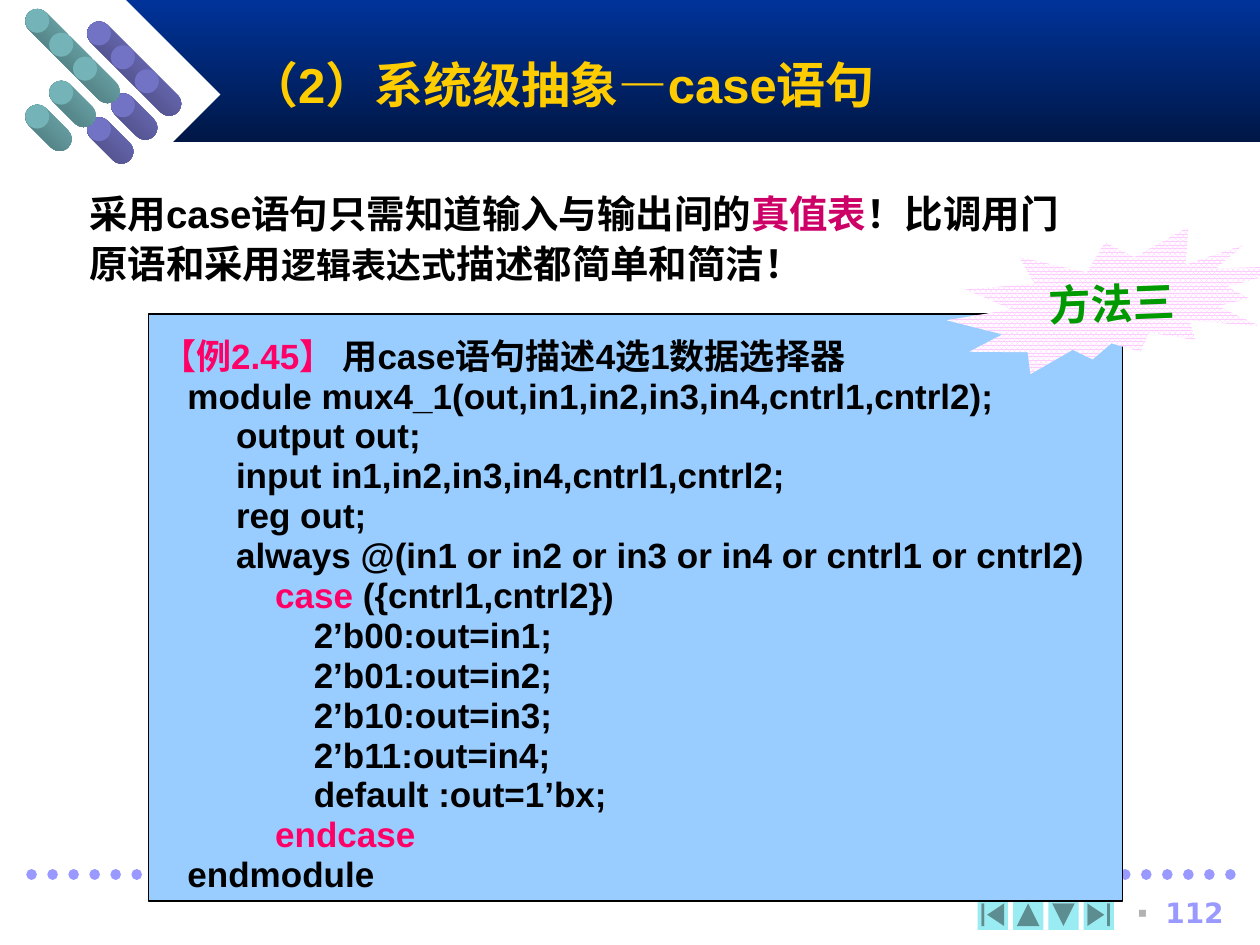
import pptx
import pptx.util
import pptx.dml.color
import pptx.enum.dml
import pptx.enum.shapes
import pptx.enum.text
import pptx.oxml

Inches = pptx.util.Inches
Pt = pptx.util.Pt
RGBColor = pptx.dml.color.RGBColor
SHAPE = pptx.enum.shapes.MSO_SHAPE
ALIGN = pptx.enum.text.PP_ALIGN
ANCHOR = pptx.enum.text.MSO_ANCHOR

WHITE = RGBColor(0xFF, 0xFF, 0xFF)
BLACK = RGBColor(0, 0, 0)
BLUE = RGBColor(0x00, 0x33, 0x99)
NAVY = RGBColor(0x00, 0x17, 0x46)
LILAC = RGBColor(0x99, 0x99, 0xFF)
AQUA = RGBColor(0x98, 0xEC, 0xF2)
PLUM = RGBColor(0x73, 0x73, 0xC6)
DUSK = RGBColor(0x46, 0x46, 0x78)
TEAL = RGBColor(0x74, 0xB4, 0xB8)
SLATE = RGBColor(0x46, 0x6E, 0x71)
GOLD = RGBColor(0xFF, 0xCC, 0x00)
ROSE = RGBColor(0xCC, 0x00, 0x66)
RED = RGBColor(0xFF, 0x00, 0x66)
SKY = RGBColor(0x99, 0xCC, 0xFF)
PINK = RGBColor(0xFF, 0xCC, 0xFF)
GREEN = RGBColor(0x00, 0x99, 0x00)
NS = 'xmlns:a="http://schemas.openxmlformats.org/drawingml/2006/main"'
CJK = "Noto Sans CJK SC"

CODE = [
    [("module mux4_1(out,in1,in2,in3,in4,cntrl1,cntrl2);", BLACK)],
    [("     output out;", BLACK)],
    [("     input in1,in2,in3,in4,cntrl1,cntrl2;", BLACK)],
    [("     reg out;", BLACK)],
    [("     always @(in1 or in2 or in3 or in4 or cntrl1 or cntrl2)", BLACK)],
    [("         ", BLACK), ("case", RED), (" ({cntrl1,cntrl2})", BLACK)],
    [("             2’b00:out=in1;", BLACK)],
    [("             2’b01:out=in2;", BLACK)],
    [("             2’b10:out=in3;", BLACK)],
    [("             2’b11:out=in4;", BLACK)],
    [("             default :out=1’bx;", BLACK)],
    [("         ", BLACK), ("endcase", RED)],
    [("endmodule", BLACK)],
]


def node(xml):
    return pptx.oxml.parse_xml(xml)


def shape(slide, kind, box, color=None):
    item = slide.shapes.add_shape(kind, *map(Inches, box))
    item.shadow.inherit = False
    item.line.fill.background()
    if color is not None:
        item.fill.solid()
        item.fill.fore_color.rgb = color
    return item


def shade(item, stops, angle):
    item.fill.gradient()
    item.fill.gradient_angle = angle
    for stop, color in zip(item.fill.gradient_stops, stops):
        stop.color.rgb = color


def write(para, text, size, color, font="Arial"):
    run = para.add_run()
    run.text = text
    run.font.size = Pt(size)
    run.font.bold = True
    run.font.name = font
    run.font.color.rgb = color
    run.font._element.find(pptx.oxml.ns.qn("a:latin")).addnext(
        node(f'<a:ea {NS} typeface="{CJK}"/>'))


def textbox(slide, box, anchor=ANCHOR.TOP):
    frame = slide.shapes.add_textbox(*map(Inches, box)).text_frame
    frame.word_wrap = True
    frame.vertical_anchor = anchor
    return frame.paragraphs[0]


def banner(slide, box):
    left, top, width, height = box
    band = shape(slide, SHAPE.RECTANGLE, box)
    shade(band, (BLUE, NAVY), 270)
    shape(slide, SHAPE.DIAMOND, (left - 0.75, top, 1.5, 1.5), WHITE)
    pegs(slide, left - 0.31, top + 0.17, (PLUM, DUSK))
    pegs(slide, left - 0.8, top + 0.07, (TEAL, SLATE))
    para = textbox(slide, (left + 0.88, top + 0.33, 7.5, 0.67), ANCHOR.MIDDLE)
    write(para, "（2）系统级抽象—case语句", 28, GOLD)


def pegs(slide, left, top, tones):
    size, step, reach = 0.19, 0.19, 0.18
    span = size + 0.25
    for row, col in enumerate((0, 1, 2, 1, 0)):
        x, y = left + col * step, top + row * step
        mid = (size + reach) / 2
        body = shape(slide, SHAPE.ROUNDED_RECTANGLE,
                     (x + mid - span / 2, y + mid - size / 2, span, size))
        body.adjustments[0] = 0.5
        body.rotation = 45
        shade(body, tones, 270)
        shape(slide, SHAPE.OVAL, (x, y, size, size), tones[0])


def footer(slide, box):
    left, top, width, height = box
    rule = slide.shapes.add_connector(
        pptx.enum.shapes.MSO_CONNECTOR.STRAIGHT,
        Inches(left), Inches(top), Inches(left + width), Inches(top))
    rule.line.color.rgb = LILAC
    rule.line.width = Pt(6)
    rule.line.dash_style = pptx.enum.dml.MSO_LINE.ROUND_DOT
    rule.line._ln.set("cap", "rnd")
    rule._element.spPr.append(node(f"<a:effectLst {NS}/>"))
    keys = ((SHAPE.ACTION_BUTTON_BEGINNING, 0),
            (SHAPE.ACTION_BUTTON_BACK_OR_PREVIOUS, 90),
            (SHAPE.ACTION_BUTTON_FORWARD_OR_NEXT, 90),
            (SHAPE.ACTION_BUTTON_END, 0))
    for spot, (kind, turn) in enumerate(keys):
        key = shape(slide, kind,
                    (left + 7.51 + spot * 0.28, top + 0.2, 0.24, 0.24), AQUA)
        key.rotation = turn
    para = textbox(slide, (left + 8.61, top + 0.12, 0.95, 0.33))
    props = para._p.get_or_add_pPr()
    props.set("marL", str(Inches(0.22)))
    props.set("indent", str(-Inches(0.22)))
    for xml in (f'<a:buClr {NS}><a:srgbClr val="B2B2B2"/></a:buClr>',
                f'<a:buFont {NS} typeface="Arial"/>',
                f'<a:buChar {NS} char="▪"/>'):
        props.append(node(xml))
    para.alignment = ALIGN.RIGHT
    write(para, "112", 16, LILAC, "DejaVu Sans")


def intro(slide, box):
    para = textbox(slide, box)
    para.line_spacing = 1.1
    for text, size, color in (
            ("采用case语句只需知道输入与输出间的", 22, BLACK),
            ("真值表", 22, ROSE),
            ("！比调用门原语和采用", 22, BLACK),
            ("逻辑表达式", 20, BLACK),
            ("描述都简单和简洁！", 22, BLACK)):
        write(para, text, size, color)


def listing(slide, box):
    panel = shape(slide, SHAPE.RECTANGLE, box, SKY)
    panel.line.color.rgb = BLACK
    panel.line.width = Pt(1)
    frame = panel.text_frame
    frame.word_wrap = True
    frame.vertical_anchor = ANCHOR.BOTTOM
    head = frame.paragraphs[0]
    head.alignment = ALIGN.JUSTIFY
    write(head, "【例2.45】 ", 20, RED)
    write(head, "用case语句描述4选1数据选择器", 20, BLACK)
    for line in CODE:
        para = frame.add_paragraph()
        para.alignment = ALIGN.LEFT
        para.line_spacing = Pt(22.8)
        para._p.get_or_add_pPr().set("marL", str(Inches(0.21)))
        for text, color in line:
            write(para, text, 20, color)


def burst(slide, box):
    star = shape(slide, SHAPE.EXPLOSION2, box)
    star.rotation = 357.8
    star.fill.patterned()
    star.fill.pattern = pptx.enum.dml.MSO_PATTERN.PERCENT_80
    star.fill.fore_color.rgb = PINK
    star.fill.back_color.rgb = WHITE
    frame = star.text_frame
    frame.word_wrap = False
    frame.vertical_anchor = ANCHOR.MIDDLE
    para = frame.paragraphs[0]
    para.alignment = ALIGN.CENTER
    write(para, "方法三", 24, GREEN, CJK)


def main():
    deck = pptx.Presentation()
    deck.slide_width, deck.slide_height = Inches(10), Inches(7.5)
    slide = deck.slides.add_slide(deck.slide_layouts[6])
    banner(slide, (1, 0, 9, 1.13))
    footer(slide, (0.25, 6.94, 9.58, 0.45))
    intro(slide, (0.61, 1.42, 8.12, 1.04))
    listing(slide, (1.18, 2.49, 7.73, 4.66))
    burst(slide, (7.51, 1.82, 2.84, 1.12))
    deck.save("out.pptx")


if __name__ == "__main__":
    main()
